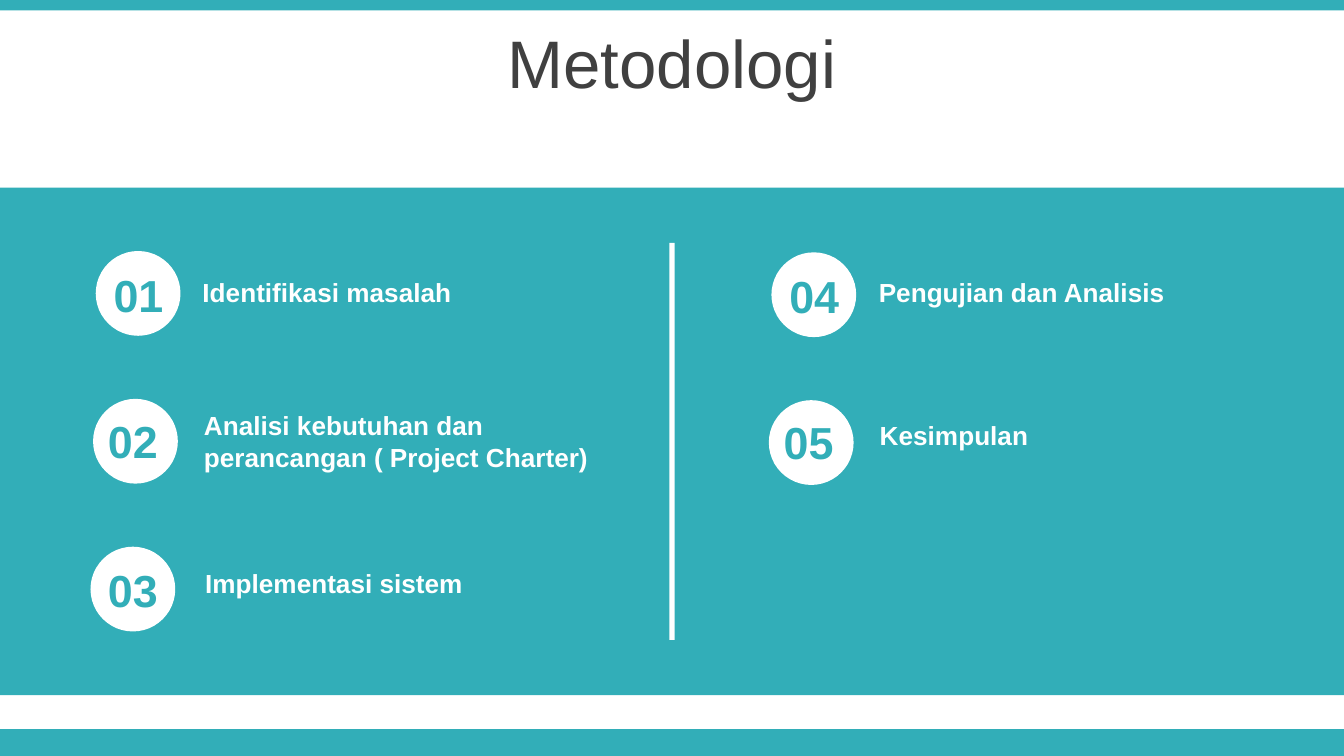
"""Build the Metodologi slide: five numbered steps in two columns."""
from pptx import Presentation
from pptx.dml.color import RGBColor
from pptx.enum.shapes import MSO_SHAPE as Shape
from pptx.enum.text import MSO_ANCHOR as Anchor, MSO_AUTO_SIZE as AutoSize, PP_ALIGN as Align
from pptx.util import Pt

COLORS = {"teal": "32AEB8", "white": "FFFFFF", "title": "404040"}
WIDTH, HEIGHT = 720, 405
COLUMN_SHIFT = 362
COLUMN_DROP = 0.7
ROW_PITCH = 79.2
CIRCLE_SIZE = 45.4
NUMBER_OFFSETS = [(49, 139.7), (46, 218.2), (46, 298)]
STEPS = [
    ("Identifikasi masalah", 0, 0, 101.4, 144.6, 209.5),
    ("Analisi kebutuhan dan perancangan ( Project Charter)", 0, 1, 102.2, 216, 234.7),
    ("Implementasi sistem", 0, 2, 102.8, 300.4, 209.5),
    ("Pengujian dan Analisis", 1, 0, 463.7, 144.4, 209.5),
    ("Kesimpulan", 1, 1, 464.2, 221, 209.5),
]


def color(key):
    return RGBColor.from_string(COLORS[key])


def add_filled(slide, preset, fill, left, top, width, height):
    figure = slide.shapes.add_shape(preset, Pt(left), Pt(top), Pt(width), Pt(height))
    figure.shadow.inherit = False
    figure.fill.solid()
    figure.fill.fore_color.rgb = color(fill)
    figure.line.fill.background()


def add_run(paragraph, wording, size, fill, bold):
    run = paragraph.add_run()
    run.text = wording
    run.font.name = "Arial"
    run.font.size = Pt(size)
    run.font.bold = bold
    run.font.color.rgb = color(fill)


def add_label(slide, wording, left, top, width, height, size, fill, align):
    label = slide.shapes.add_textbox(Pt(left), Pt(top), Pt(width), Pt(height))
    frame = label.text_frame
    frame.word_wrap = True
    frame.auto_size = AutoSize.SHAPE_TO_FIT_TEXT
    paragraph = frame.paragraphs[0]
    paragraph.alignment = align
    add_run(paragraph, wording, size, fill, True)


def set_title(slide, wording):
    title = slide.shapes.title
    title.left, title.top, title.width, title.height = Pt(0), Pt(10.2), Pt(WIDTH), Pt(45.4)
    frame = title.text_frame
    frame.auto_size = AutoSize.NONE
    frame.vertical_anchor = Anchor.MIDDLE
    paragraph = frame.paragraphs[0]
    paragraph.alignment = Align.CENTER
    add_run(paragraph, wording, 36, "title", False)


def add_step(slide, number, wording, column, row, left, top, width):
    shift, drop = column * COLUMN_SHIFT, column * COLUMN_DROP
    add_filled(slide, Shape.OVAL, "white", 51.3 - 1.4 * row + shift,
               134.5 + ROW_PITCH * row + drop, CIRCLE_SIZE, CIRCLE_SIZE)
    number_left, number_top = NUMBER_OFFSETS[row]
    add_label(slide, f"{number:02d}", number_left + shift, number_top + drop,
              50.4, 36.4, 24, "teal", Align.CENTER)
    height = 41.2 if row == 1 and column == 0 else 24.2
    add_label(slide, wording, left, top, width, height, 14, "white", Align.LEFT)


def main():
    deck = Presentation()
    deck.slide_width, deck.slide_height = Pt(WIDTH), Pt(HEIGHT)
    slide = deck.slides.add_slide(deck.slide_layouts[5])
    add_filled(slide, Shape.RECTANGLE, "teal", 0, 390.6, WIDTH, 14.4)
    add_filled(slide, Shape.RECTANGLE, "teal", 0, 0, WIDTH, 5.6)
    set_title(slide, "Metodologi")
    add_filled(slide, Shape.RECTANGLE, "teal", 0, 100.5, WIDTH, 272)
    add_filled(slide, Shape.RECTANGLE, "white", 358.6, 130.2, 2.8, 212.6)
    for number, step in enumerate(STEPS, start=1):
        add_step(slide, number, *step)
    deck.save("out.pptx")


if __name__ == "__main__":
    main()
